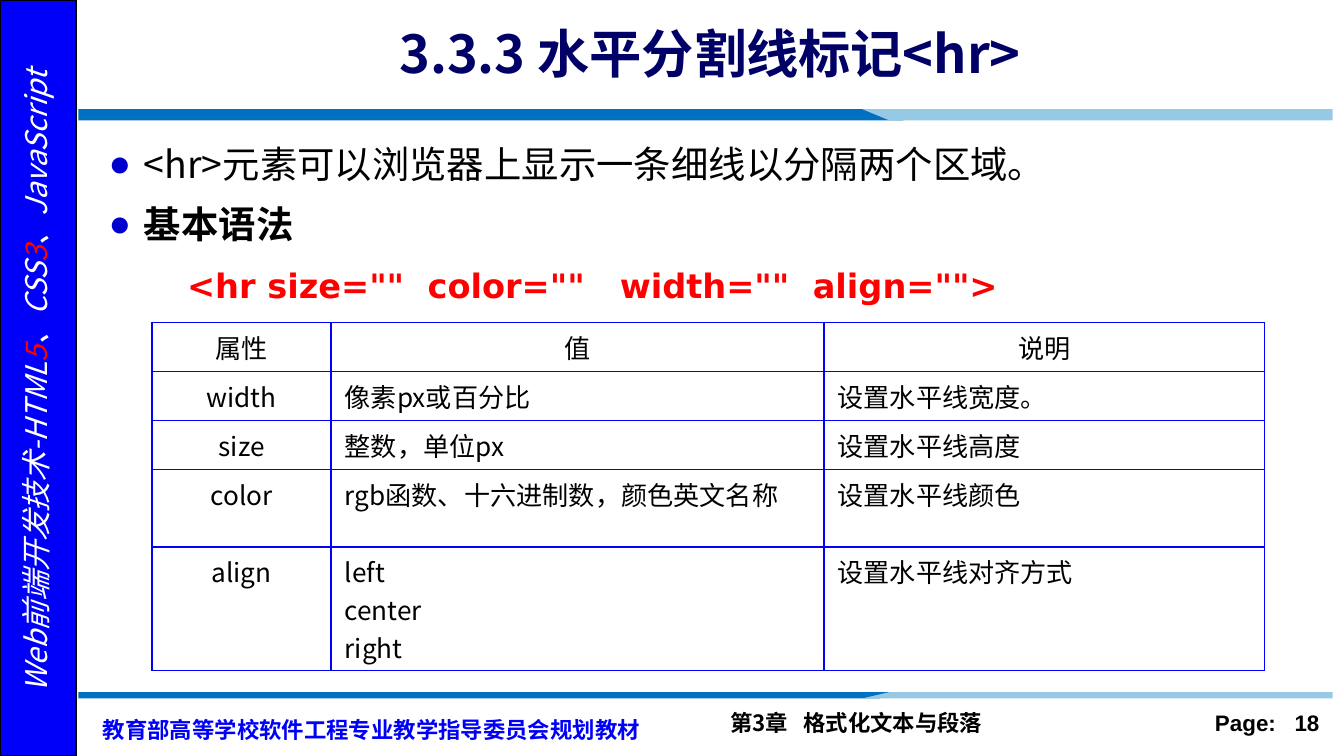
from dataclasses import dataclass

from lxml.etree import SubElement
from pptx import Presentation
from pptx.dml.color import RGBColor
from pptx.enum.shapes import MSO_SHAPE
from pptx.enum.text import MSO_ANCHOR, MSO_AUTO_SIZE, PP_ALIGN
from pptx.oxml.ns import qn
from pptx.util import Pt


@dataclass(frozen=True)
class Theme:
    sans: str = "Noto Sans CJK SC"
    latin: str = "Arial"
    code: str = "DejaVu Sans"
    black: str = "000000"
    white: str = "FFFFFF"
    red: str = "FF0000"
    navy: str = "000066"
    bullet: str = "0000CC"
    sidebar: str = "0000FA"
    border: str = "0000FF"
    ribbon_dark: str = "0070C0"
    ribbon_light: str = "96CAE4"
    title_size: int = 28
    body_size: int = 20
    code_size: int = 18
    sidebar_size: int = 16
    table_size: int = 14
    footer_size: int = 12


THEME = Theme()

ATTRIBUTES = [
    ("属性", "值", "说明"),
    ("width", "像素px或百分比", "设置水平线宽度。"),
    ("size", "整数，单位px", "设置水平线高度"),
    ("color", "rgb函数、十六进制数，颜色英文名称", "设置水平线颜色"),
    ("align", "left\ncenter\nright", "设置水平线对齐方式"),
]


def style_span(span, size, color=THEME.black, font=THEME.sans, bold=False, italic=False):
    span.font.size = Pt(size)
    span.font.color.rgb = RGBColor.from_string(color)
    span.font.name = font
    span.font.bold = bold
    span.font.italic = italic
    SubElement(span.font._element, qn("a:ea"), typeface=font)


def place(box, left, top, width, height):
    box.left, box.top, box.width, box.height = Pt(left), Pt(top), Pt(width), Pt(height)


def add_label(slide, text, left, top, width, height, font=THEME.sans, color=THEME.black):
    """Add one bold footer line and return its paragraph."""
    box = slide.shapes.add_textbox(Pt(left), Pt(top), Pt(width), Pt(height))
    box.text_frame.word_wrap = True
    para = box.text_frame.paragraphs[0]
    para.text = text
    style_span(para.runs[0], THEME.footer_size, color, font, bold=True)
    return para


def add_polygon(slide, points, color):
    corners = [(Pt(x), Pt(y)) for x, y in points]
    builder = slide.shapes.build_freeform(*corners[0], scale=1.0)
    builder.add_line_segments(corners[1:], close=True)
    shape = builder.convert_to_shape()
    shape.shadow.inherit = False
    shape.fill.solid()
    shape.fill.fore_color.rgb = RGBColor.from_string(color)
    shape.line.fill.background()


def add_ribbon(slide, flat, tip):
    """Add a two-tone rule; the dark part reaches furthest at the tip edge."""
    add_polygon(slide, [(42, flat), (471, flat), (484, tip), (42, tip)], THEME.ribbon_dark)
    add_polygon(slide, [(462, flat), (714, flat), (714, tip), (476.5, tip)], THEME.ribbon_light)


def add_sidebar(slide):
    bar = slide.shapes.add_shape(MSO_SHAPE.RECTANGLE, 0, 0, Pt(41), Pt(405))
    bar.shadow.inherit = False
    bar.fill.solid()
    bar.fill.fore_color.rgb = RGBColor.from_string(THEME.sidebar)
    bar.line.color.rgb = RGBColor.from_string(THEME.black)
    bar.line.width = Pt(1)

    box = slide.shapes.add_textbox(Pt(-166.5), Pt(192), Pt(374), Pt(24.5))
    box.rotation = 270
    box.text_frame.word_wrap = True
    para = box.text_frame.paragraphs[0]
    para.alignment = PP_ALIGN.CENTER
    para.line_spacing = 0.9
    para.space_before = Pt(3)
    for text in ("Web前端开发技术-HTML", "5", "、CSS", "3", "、JavaScript"):
        span = para.add_run()
        span.text = text
        color = THEME.red if text.isdigit() else THEME.white
        style_span(span, THEME.sidebar_size, color, italic=True)


def fill_title(title):
    place(title, 78, 6, 611, 44.5)
    frame = title.text_frame
    frame.auto_size = MSO_AUTO_SIZE.NONE
    frame.vertical_anchor = MSO_ANCHOR.MIDDLE
    para = frame.paragraphs[0]
    para.text = "3.3.3 水平分割线标记<hr> "
    para.alignment = PP_ALIGN.CENTER
    style_span(para.runs[0], THEME.title_size, THEME.navy, bold=True)


def set_indent(para, margin, indent, bullet=None):
    properties = para._p.get_or_add_pPr()
    properties.set("marL", str(Pt(margin)))
    properties.set("indent", str(Pt(indent)))
    if bullet:
        color = SubElement(properties, qn("a:buClr"))
        SubElement(color, qn("a:srgbClr"), val=THEME.bullet)
        SubElement(properties, qn("a:buChar"), char=bullet)
    else:
        SubElement(properties, qn("a:buNone"))


def fill_body(body):
    place(body, 51, 64, 657, 96.5)
    frame = body.text_frame
    frame.auto_size = MSO_AUTO_SIZE.NONE
    frame.vertical_anchor = MSO_ANCHOR.TOP
    frame.text = "\n".join([
        " <hr>元素可以浏览器上显示一条细线以分隔两个区域。",
        " 基本语法",
        '<hr size=""  color=""   width=""  align="">',
    ])
    for para in frame.paragraphs:
        para.line_spacing = Pt(32)
        para.space_before = Pt(0)
    sentence, heading, code = frame.paragraphs
    for para in (sentence, heading):
        set_indent(para, 14.4, -14.4, "●")
        style_span(para.runs[0], THEME.body_size, bold=para is heading)
    code.level = 1
    set_indent(code, 42, 0)
    style_span(code.runs[0], THEME.code_size, THEME.red, THEME.code, bold=True)


def outline_cell(cell):
    properties = cell._tc.get_or_add_tcPr()
    for side in ("a:lnL", "a:lnR", "a:lnT", "a:lnB"):
        line = SubElement(properties, qn(side), w=str(Pt(1)))
        SubElement(SubElement(line, qn("a:solidFill")), qn("a:srgbClr"), val=THEME.border)


def add_attribute_table(slide):
    widths, heights = (96, 264, 236), (26.3, 26.3, 26.3, 41.3, 66.3)
    frame = slide.shapes.add_table(len(heights), len(widths), Pt(81.5), Pt(172.8),
                                   Pt(sum(widths)), Pt(sum(heights)))
    table = frame.table
    table.first_row = table.horz_banding = False
    for column, width in zip(table.columns, widths):
        column.width = Pt(width)
    for row_index, (row, height) in enumerate(zip(table.rows, heights)):
        row.height = Pt(height)
        for column_index, cell in enumerate(row.cells):
            outline_cell(cell)
            cell.fill.background()
            cell.margin_top = cell.margin_bottom = Pt(2.8)
            cell.text_frame.text = ATTRIBUTES[row_index][column_index]
            centred = row_index == 0 or column_index == 0
            for para in cell.text_frame.paragraphs:
                para.alignment = PP_ALIGN.CENTER if centred else PP_ALIGN.LEFT
                style_span(para.runs[0], THEME.table_size)


def main():
    deck = Presentation()
    deck.slide_width, deck.slide_height = Pt(720), Pt(405)
    slide = deck.slides.add_slide(deck.slide_layouts[1])

    # Frame: sidebar and the two ribbons
    add_sidebar(slide)
    add_ribbon(slide, flat=58.5, tip=64.5)
    add_ribbon(slide, flat=374.2, tip=370.8)

    # Footer
    add_label(slide, "第3章   格式化文本与段落", 384, 376.5, 237, 22)
    page = add_label(slide, "Page:   18", 624, 376.5, 90, 22, font=THEME.latin)
    page.alignment = PP_ALIGN.RIGHT
    series = add_label(slide, "教育部高等学校软件工程专业教学指导委员会规划教材",
                       48, 376.5, 312, 25, color=THEME.sidebar)
    series.line_spacing = Pt(18)

    # Content
    fill_title(slide.shapes.title)
    fill_body(slide.placeholders[1])
    add_attribute_table(slide)

    deck.save("out.pptx")


if __name__ == "__main__":
    main()
